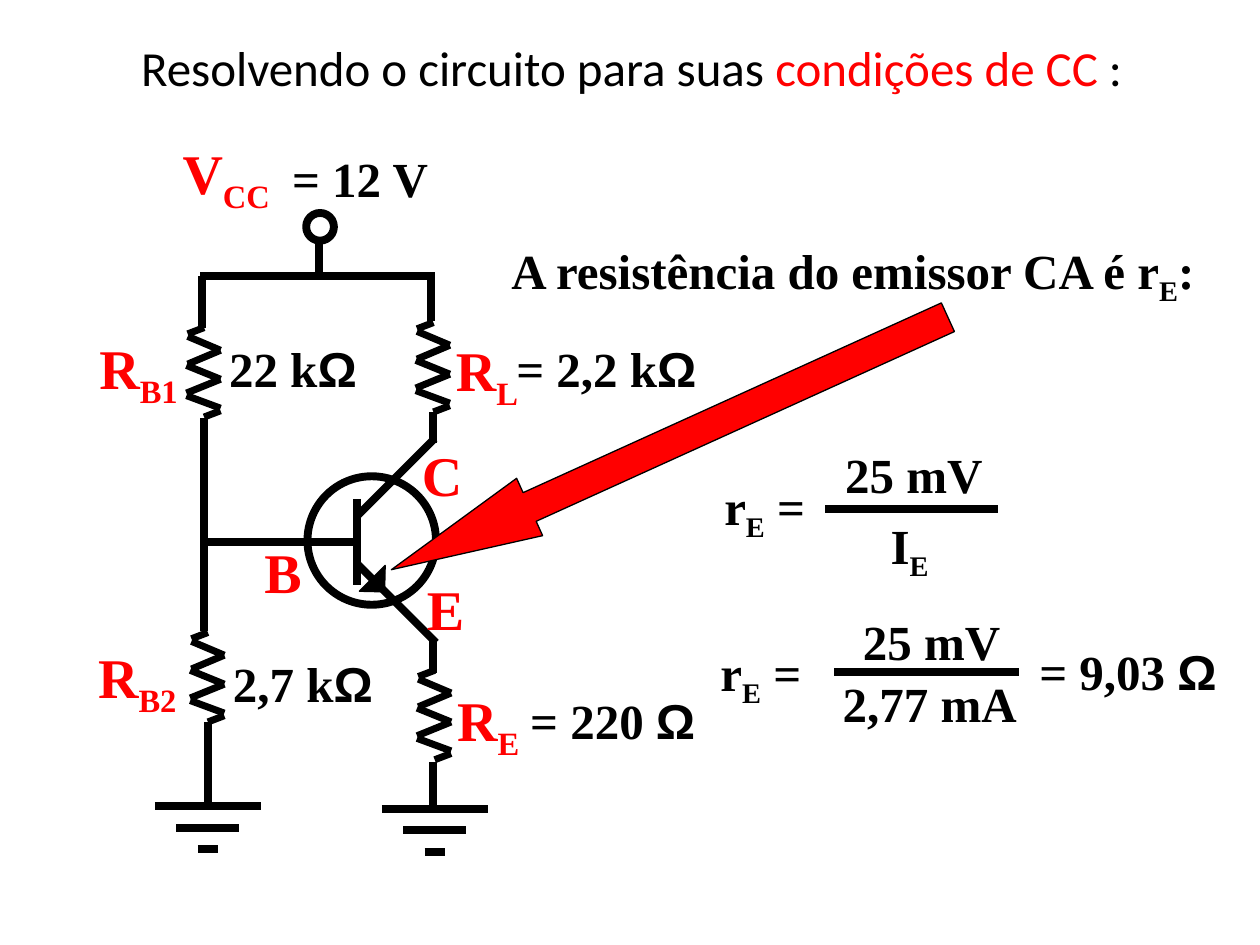
from lxml.etree import SubElement
from pptx import Presentation
from pptx.dml.color import RGBColor
from pptx.enum.shapes import MSO_CONNECTOR, MSO_SHAPE
from pptx.enum.text import MSO_ANCHOR, MSO_AUTO_SIZE, PP_ALIGN
from pptx.oxml.ns import qn
from pptx.util import Emu, Pt

PX = 9144
BLACK, RED = "000000", "FF0000"
SERIF = "Times New Roman"
ZIGZAG = [(27, 18, 1, 7), (27, 41, 0, 30), (27, 64, 0, 54), (0, 52, 27, 41),
          (1, 29, 27, 18), (1, 5, 14, 0), (14, 71, 27, 66)]


def px(n):
    return Emu(n * PX)


def color(value):
    return RGBColor.from_string(value)


class Board:
    def __init__(self, s):
        self.s = s

    def style(self, r, size, name, value, bold):
        r.font.size, r.font.name, r.font.bold = Pt(size), name, bold
        r.font.color.rgb = color(value)

    def title(self, x, y, w, h, parts):
        sp = self.s.shapes.title
        sp.left, sp.top, sp.width, sp.height = map(px, (x, y, w, h))
        tf = sp.text_frame
        tf.word_wrap = False
        tf.auto_size = MSO_AUTO_SIZE.NONE
        tf.vertical_anchor = MSO_ANCHOR.TOP
        p = tf.paragraphs[0]
        p.alignment = PP_ALIGN.LEFT
        for text, value in parts:
            r = p.add_run()
            r.text = text
            self.style(r, 28, "Calibri", value, False)

    def label(self, x, y, w, h, *parts, size=28, value=BLACK, shapes=None):
        sp = (shapes or self.s.shapes).add_textbox(*map(px, (x, y, w, h)))
        tf = sp.text_frame
        tf.word_wrap = False
        tf.auto_size = MSO_AUTO_SIZE.SHAPE_TO_FIT_TEXT
        p = tf.paragraphs[0]
        for part in parts:
            r = p.add_run()
            r.text = part.removeprefix("_")
            self.style(r, size, "Arial" if part == "Ω" else SERIF, value, True)
            if part.startswith("_"):
                r.font._element.set("baseline", "-25000")

    def line(self, x1, y1, x2, y2, width=4.5, shapes=None):
        c = (shapes or self.s.shapes).add_connector(
            MSO_CONNECTOR.STRAIGHT, *map(px, (x1, y1, x2, y2)))
        c.line.color.rgb = color(BLACK)
        c.line.width = Pt(width)
        SubElement(c._element.spPr, qn("a:effectLst"))

    def shape(self, kind, x, y, w, h, fill=None, width=0.75, rotation=0):
        sp = self.s.shapes.add_shape(kind, *map(px, (x, y, w, h)))
        sp.shadow.inherit = False
        sp.rotation = rotation
        if fill:
            sp.fill.solid()
            sp.fill.fore_color.rgb = color(fill)
        else:
            sp.fill.background()
        sp.line.color.rgb = color(BLACK)
        sp.line.width = Pt(width)
        return sp

    def resistor(self, x, y):
        shapes = self.s.shapes.add_group_shape().shapes
        for x1, y1, x2, y2 in ZIGZAG:
            self.line(x + x1, y + y1, x + x2, y + y2, 4, shapes)

    def ground(self, x, y):
        shapes = self.s.shapes.add_group_shape().shapes
        for i, half in enumerate((42, 25, 8)):
            self.line(x - half, y + 17 * i, x + half, y + 17 * i, shapes=shapes)


def main():
    prs = Presentation()
    prs.slide_width, prs.slide_height = px(1000), px(750)
    s = prs.slides.add_slide(prs.slide_layouts[5])
    board = Board(s)

    board.title(102, 25, 823, 57, [("Resolvendo o circuito para suas ", BLACK),
                                   ("condições de CC ", RED), (":", BLACK)])

    board.shape(MSO_SHAPE.OVAL, 244, 378, 102, 102, width=4.5)
    board.shape(MSO_SHAPE.OVAL, 243, 169, 22, 22, width=4.5)
    board.shape(MSO_SHAPE.RIGHT_TRIANGLE, 285, 449, 21, 20, BLACK, rotation=271.3)

    wires = [(284, 448, 346, 510), (282, 430, 160, 430), (283, 410, 345, 348),
             (283, 396, 283, 464), (162, 332, 162, 501), (344, 327, 344, 352),
             (344, 509, 344, 534), (159, 219, 345, 219), (160, 219, 160, 260),
             (342, 255, 342, 219), (165, 573, 165, 640), (253, 193, 253, 221),
             (344, 605, 344, 642)]
    for wire in wires:
        board.line(*wire)
    for x, y in [(330, 256), (148, 260), (331, 532), (151, 502)]:
        board.resistor(x, y)
    for x, y in [(345, 642), (165, 640)]:
        board.ground(x, y)

    names = [(69, 260, 87, "R", "_B1"), (329, 451, 50, "E"), (200, 422, 50, "B"),
             (325, 345, 52, "C"), (352, 261, 72, "R", "_L"), (135, 105, 95, "V", "_CC"),
             (68, 505, 87, "R", "_B2"), (353, 539, 72, "R", "_E")]
    for x, y, w, *parts in names:
        board.label(x, y, w, 58, *parts, size=32, value=RED)

    values = [(411, 543, 152, 52, "= 220 ", "Ω"), (222, 113, 128, 52, "= 12 V"),
              (175, 514, 131, 57, "2,7 k", "Ω"), (172, 264, 122, 52, "22 k", "Ω"),
              (400, 264, 163, 57, "= 2,2 k", "Ω"),
              (396, 186, 570, 57, "A resistência do emissor CA é r", "_E", ":")]
    for value in values:
        board.label(*value)

    arrow = board.shape(MSO_SHAPE.LEFT_ARROW, 289, 327, 485, 50, RED, rotation=335.6)
    arrow.adjustments[0], arrow.adjustments[1] = 0.5, 2.41

    formulas = [
        ((655, 404, 792, 404),
         [(565, 373, 96, 52, "r", "_E", " ="), (661, 348, 129, 52, "25 mV"),
          (697, 404, 52, 52, "I", "_E")]),
        ((662, 533, 809, 533),
         [(562, 505, 86, 52, "r", "_E", " ="), (675, 480, 129, 52, "25 mV"),
          (659, 530, 160, 57, "2,77 mA"), (815, 504, 161, 57, "= 9,03 ", "Ω")])]
    for bar, terms in formulas:
        shapes = s.shapes.add_group_shape().shapes
        for term in terms:
            board.label(*term, shapes=shapes)
        board.line(*bar, shapes=shapes)

    prs.save("out.pptx")


if __name__ == "__main__":
    main()
